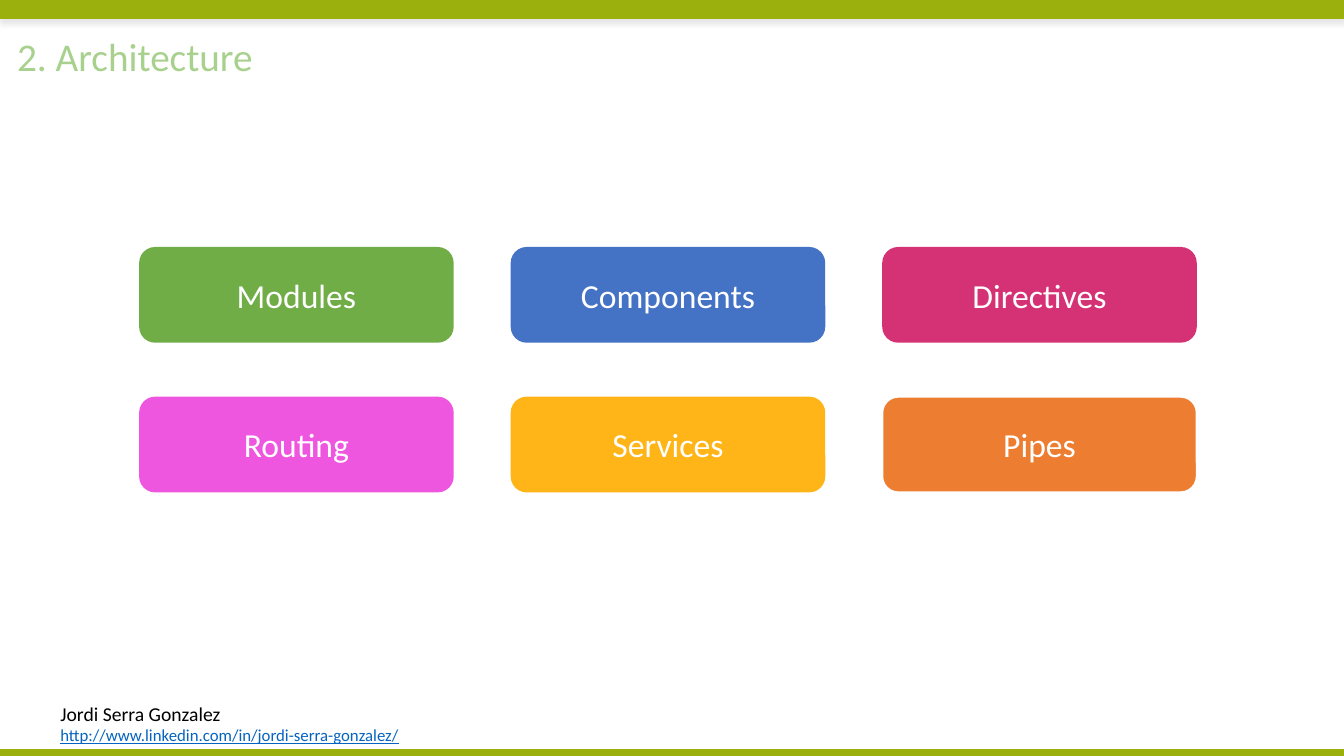
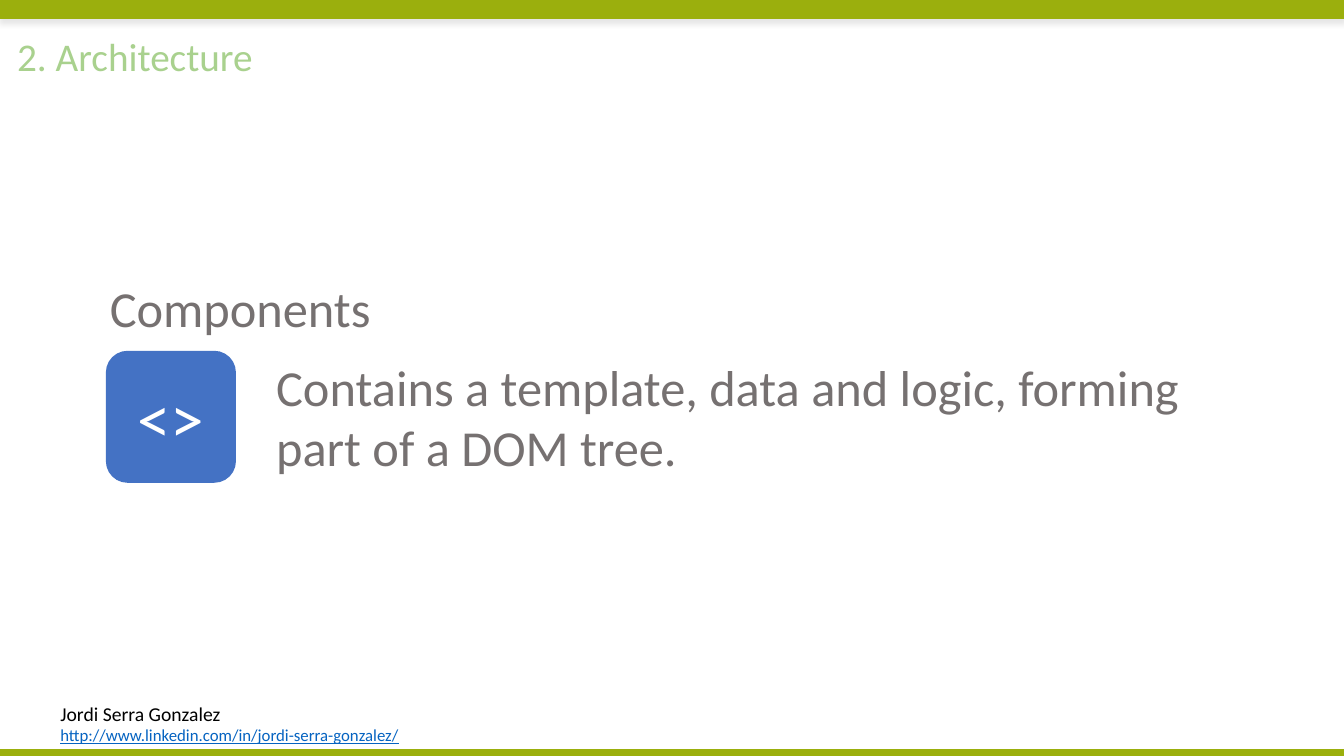
from lxml import etree
from pptx import Presentation
from pptx.dml.color import RGBColor
from pptx.enum.shapes import MSO_SHAPE
from pptx.enum.text import MSO_ANCHOR, MSO_AUTO_SIZE, PP_ALIGN
from pptx.oxml.ns import qn
from pptx.util import Inches, Pt

RECT, ROUND = MSO_SHAPE.RECTANGLE, MSO_SHAPE.ROUNDED_RECTANGLE
LEFT, CENTER = PP_ALIGN.LEFT, PP_ALIGN.CENTER
TOP, MIDDLE = MSO_ANCHOR.TOP, MSO_ANCHOR.MIDDLE
TITLE_ONLY = 5

FONT = "Calibri"
COLORS = {
    "band": "9BAF0D", "title": "A9D18E", "text": "767171", "link": "0563C1",
    "black": "000000", "white": "FFFFFF", "green": "70AD47", "blue": "4472C4",
    "red": "D53275", "pink": "EF56E0", "gold": "FFB517", "orange": "ED7D31",
}

TITLE = "2. Architecture"
AUTHOR = "Jordi Serra Gonzalez"
URL = "http://www.linkedin.com/in/jordi-serra-gonzalez/"
PARTS = [
    [("Modules", "green"), ("Components", "blue"), ("Directives", "red")],
    [("Routing", "pink"), ("Services", "gold"), ("Pipes", "orange")],
]
OUTLINED = {"Pipes": ("white", 1.5)}
TOPIC = "Components"
ICON = "<>"
DETAIL = "Contains a template, data and logic, forming part of a DOM tree."

WIDE, HIGH = 13.33, 7.5
GRID_X, GRID_Y = 1.38, 2.45
STEP_X, STEP_Y = 3.685, 1.485
CARD_W, CARD_H = 3.12, 0.95


def rgb(name):
    return RGBColor.from_string(COLORS[name])


def style(para, size, color, align=LEFT):
    para.alignment = align
    para.font.name = FONT
    para.font.size = Pt(size)
    para.font.color.rgb = rgb(color)


def add_box(slide, kind, at, fill, line=None):
    box = slide.shapes.add_shape(kind, *map(Inches, at))
    box.shadow.inherit = False
    box.fill.solid()
    box.fill.fore_color.rgb = rgb(fill)
    if line:
        color, width = line
        box.line.color.rgb = rgb(color)
        box.line.width = Pt(width)
    else:
        box.line.fill.background()
    return box


def add_card(slide, at, text, fill, size, line=None):
    frame = add_box(slide, ROUND, at, fill, line).text_frame
    frame.vertical_anchor = MIDDLE
    frame.text = text
    style(frame.paragraphs[0], size, "white", CENTER)


def add_text(slide, at, lines, wrap=True):
    """Add a text box; lines holds (text, size, color) for each paragraph."""
    frame = slide.shapes.add_textbox(*map(Inches, at)).text_frame
    frame.word_wrap = wrap
    frame.text = "\n".join(text for text, _, _ in lines)
    for para, (_, size, color) in zip(frame.paragraphs, lines):
        style(para, size, color)
    return frame


def add_shade(shape):
    """Give the shape a soft shadow that falls straight down."""
    effects = shape._element.spPr.find(qn("a:effectLst"))
    shade = etree.SubElement(effects, qn("a:outerShdw"), blurRad=str(Pt(4)),
                             dist=str(Pt(3)), dir=str(90 * 60000))
    color = etree.SubElement(shade, qn("a:srgbClr"), val=COLORS["black"])
    etree.SubElement(color, qn("a:alpha"), val="10000")


def add_page(deck):
    """Add a slide with the bands, footer and title that all slides share."""
    slide = deck.slides.add_slide(deck.slide_layouts[TITLE_ONLY])
    edge = ("band", 1)
    add_shade(add_box(slide, RECT, (0, 0, WIDE, 0.18), "band", edge))
    footer = add_text(slide, (0.5, 6.91, 3.59, 0.54),
                      [(AUTHOR, 14, "black"), (URL, 12, "link")], wrap=False)
    footer.paragraphs[1].font.underline = True
    add_box(slide, RECT, (0, 7.44, WIDE, 0.06), "band", edge)

    title = slide.shapes.title
    title.left, title.top = Inches(0.07), Inches(0.27)
    title.width, title.height = Inches(12.71), Inches(0.57)
    frame = title.text_frame
    frame.auto_size = MSO_AUTO_SIZE.NONE
    frame.vertical_anchor = TOP
    frame.text = TITLE
    style(frame.paragraphs[0], 28, "title")
    return slide


def add_parts(deck):
    slide = add_page(deck)
    for row, cards in enumerate(PARTS):
        for col, (text, fill) in enumerate(cards):
            at = (GRID_X + col * STEP_X, GRID_Y + row * STEP_Y, CARD_W, CARD_H)
            add_card(slide, at, text, fill, 24, OUTLINED.get(text))


def add_topic(deck):
    slide = add_page(deck)
    add_card(slide, (1.05, 3.48, 1.29, 1.31), ICON, "blue", 48)
    add_text(slide, (0.99, 2.7, 3.39, 0.71), [(TOPIC, 36, "text")])
    add_text(slide, (2.64, 3.48, 9.7, 1.31), [(DETAIL, 36, "text")])


def main():
    deck = Presentation()
    deck.slide_width, deck.slide_height = Inches(WIDE), Inches(HIGH)
    add_parts(deck)
    add_topic(deck)
    deck.save("out.pptx")


if __name__ == "__main__":
    main()
